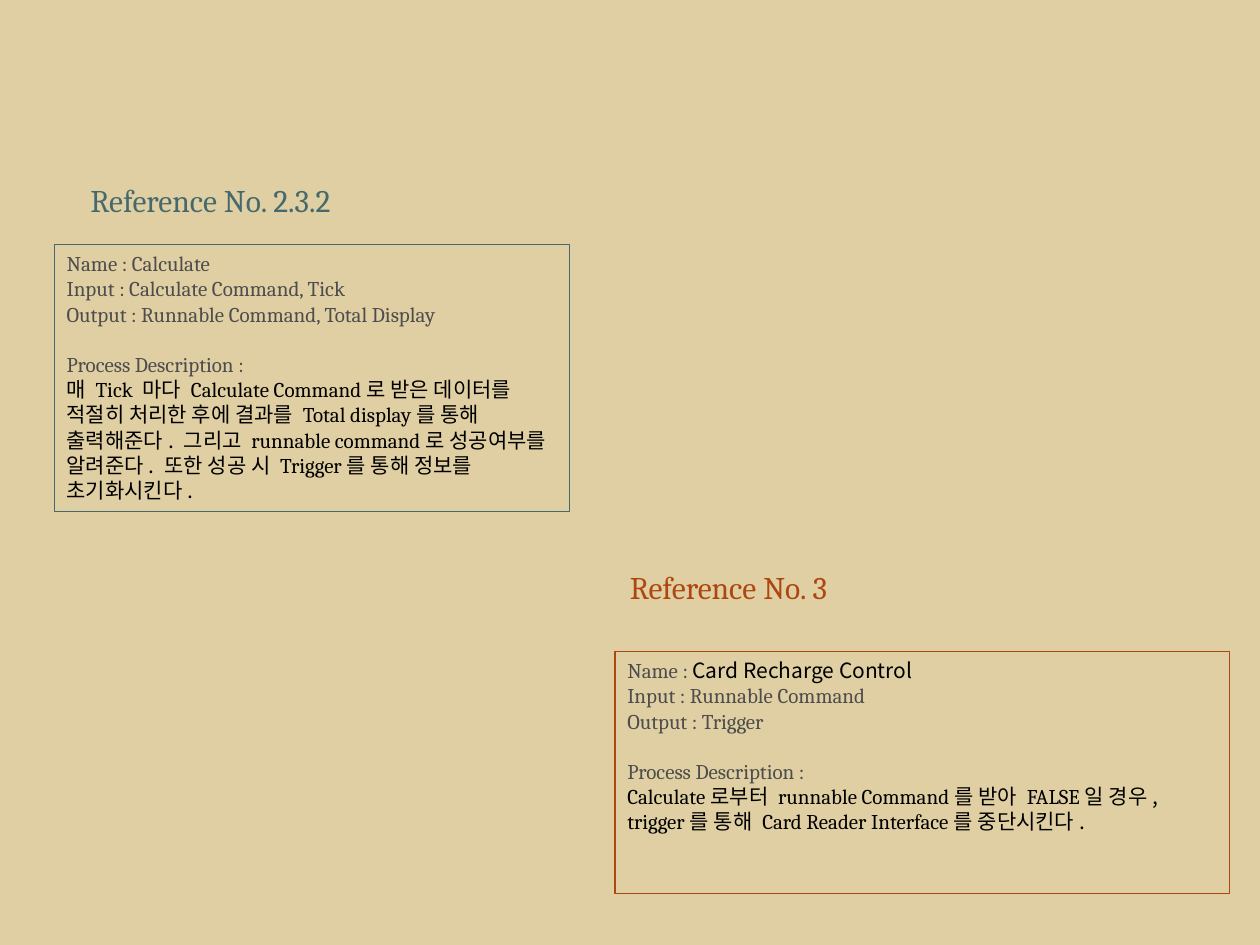
from pptx import Presentation
from pptx.dml.color import RGBColor
from pptx.enum.shapes import MSO_SHAPE
from pptx.enum.text import MSO_ANCHOR, PP_ALIGN
from pptx.oxml.ns import qn
from pptx.util import Inches, Pt
from lxml.etree import SubElement

SAND = RGBColor(0xE0, 0xCF, 0xA3)
TEAL = RGBColor(0x46, 0x69, 0x6D)
RUST = RGBColor(0xAE, 0x46, 0x0F)
GRAY = RGBColor(0x4D, 0x4D, 0x4D)
BLACK = RGBColor(0, 0, 0)
LATIN_FONT = "Cambria"
KOREAN_FONT = "Noto Sans CJK KR"
LINE_HEIGHT = Pt(14.4)

# Content: field values and descriptions are lists of (text, font) pieces
REFERENCES = [
    {
        "heading": "Reference No. 2.3.2", "color": TEAL,
        "heading_at": (0.62, 1.39, 2.27, 0.4), "box_at": (0.43, 1.94, 4.09, 2.12),
        "fields": [
            [("Name : Calculate", LATIN_FONT, GRAY)],
            [("Input : Calculate Command, Tick", LATIN_FONT, GRAY)],
            [("Output : Runnable Command, Total Display", LATIN_FONT, GRAY)],
        ],
        "description": [
            "매 ", "Tick ", "마다 ", "Calculate Command",
            "로 받은 데이터를 적절히 처리한 후에 결과를 ", "Total display",
            "를 통해 출력해준다. 그리고 ", "runnable command",
            "로 성공여부를 알려준다. 또한 성공 시 ", "Trigger",
            "를 통해 정보를 초기화시킨다.",
        ],
    },
    {
        "heading": "Reference No. 3", "color": RUST,
        "heading_at": (4.9, 4.46, 1.88, 0.4), "box_at": (4.88, 5.17, 4.88, 1.92),
        "fields": [
            [("Name : ", LATIN_FONT, GRAY), ("Card Recharge Control", KOREAN_FONT, BLACK)],
            [("Input : Runnable Command", LATIN_FONT, GRAY)],
            [("Output : Trigger", LATIN_FONT, GRAY)],
        ],
        "description": [
            "Calculate", "로부터 ", "runnable Command", "를 받아 ", "FALSE",
            "일 경우, ", "trigger", "를 통해 ", "Card Reader Interface",
            "를 중단시킨다.",
        ],
    },
]


def add_run(paragraph, text, font_name, color, size=12):
    run = paragraph.add_run()
    run.text = text
    run.font.name = font_name
    run.font.size = Pt(size)
    run.font.color.rgb = color
    east_asian = SubElement(run.font._element, qn("a:ea"))
    east_asian.set("typeface", KOREAN_FONT)


def add_heading(slide, reference):
    text_box = slide.shapes.add_textbox(*map(Inches, reference["heading_at"]))
    text_box.text_frame.word_wrap = False
    add_run(text_box.text_frame.paragraphs[0], reference["heading"],
            LATIN_FONT, reference["color"], 18)


def add_details(slide, reference):
    box = slide.shapes.add_shape(MSO_SHAPE.RECTANGLE, *map(Inches, reference["box_at"]))
    box.shadow.inherit = False
    box.fill.background()
    box.line.color.rgb = reference["color"]
    box.line.width = Pt(0.75)
    text_frame = box.text_frame
    text_frame.word_wrap = True
    text_frame.vertical_anchor = MSO_ANCHOR.TOP

    label = [("Process Description :", LATIN_FONT, GRAY)]
    description = [
        (text, LATIN_FONT if text[0].isascii() else KOREAN_FONT, BLACK)
        for text in reference["description"]
    ]
    for index, pieces in enumerate([*reference["fields"], label, description]):
        paragraph = text_frame.add_paragraph() if index else text_frame.paragraphs[0]
        paragraph.alignment = PP_ALIGN.LEFT
        paragraph.line_spacing = LINE_HEIGHT
        if pieces is label:
            paragraph.space_before = LINE_HEIGHT
        for text, font_name, color in pieces:
            add_run(paragraph, text, font_name, color)


def main():
    presentation = Presentation()
    presentation.slide_width = Inches(10)
    presentation.slide_height = Inches(7.5)
    slide = presentation.slides.add_slide(presentation.slide_layouts[6])
    slide.background.fill.solid()
    slide.background.fill.fore_color.rgb = SAND
    for reference in REFERENCES:
        add_details(slide, reference)
        add_heading(slide, reference)
    presentation.save("out.pptx")


if __name__ == "__main__":
    main()
